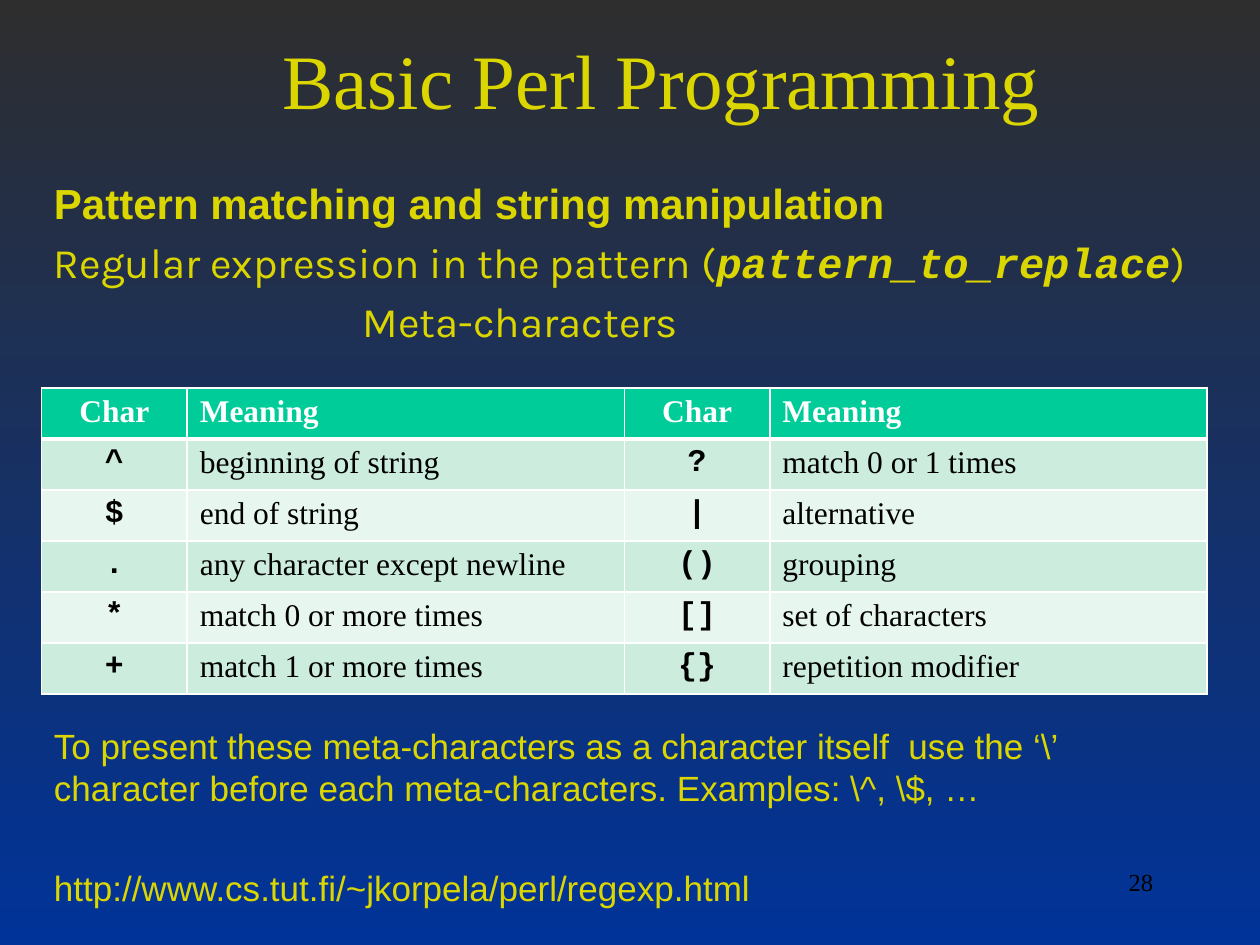
from lxml.etree import SubElement
from pptx import Presentation
from pptx.dml.color import RGBColor
from pptx.enum.text import MSO_ANCHOR as Anchor, PP_ALIGN as Align
from pptx.oxml.ns import qn
from pptx.util import Inches, Pt

YELLOW, WHITE, BLACK = "DBD600", "FFFFFF", "000000"
SERIF, SANS, ROUND, CODE = "Times New Roman", "Arial", "Karla", "Courier New"
LEFT, WIDTH = 0.33, 9.25
COLUMN_SHARES = (1, 3, 1, 3)
META_CHARACTERS = (
    ("Char", "Meaning", "Char", "Meaning"),
    ("^", "beginning of string", "?", "match 0 or 1 times"),
    ("$", "end of string", "|", "alternative"),
    (".", "any character except newline", "()", "grouping"),
    ("*", "match 0 or more times", "[]", "set of characters"),
    ("+", "match 1 or more times", "{}", "repetition modifier"),
)


def colour(code):
    """Turn a hex string into a colour."""
    return RGBColor.from_string(code)


def add_run(paragraph, text, size, face, code=YELLOW, bold=False, italic=False):
    """Append one formatted run."""
    run = paragraph.add_run()
    run.text = text
    font = run.font
    font.size, font.name, font.bold, font.italic = Pt(size), face, bold, italic
    font.color.rgb = colour(code)


def add_text(slide, box, top_inset=0.05):
    """Add a wrapping text box and return its text frame."""
    frame = slide.shapes.add_textbox(*map(Inches, box)).text_frame
    frame.word_wrap = True
    frame.margin_top = Inches(top_inset)
    return frame


def next_paragraph(frame, gap):
    """Add a paragraph set off from the one above by a gap in points."""
    paragraph = frame.add_paragraph()
    paragraph.space_before = Pt(gap)
    return paragraph


def paint_background(slide):
    """Fade the background from charcoal down to blue."""
    fill = slide.background.fill
    fill.gradient()
    fill.gradient_angle = 270
    for stop, code in zip(fill.gradient_stops, ("2E2E2E", "003399")):
        stop.color.rgb = colour(code)


def place_title(slide, box):
    """Place and format the title."""
    title = slide.shapes.title
    title.left, title.top, title.width, title.height = map(Inches, box)
    frame = title.text_frame
    frame.vertical_anchor = Anchor.MIDDLE
    heading = frame.paragraphs[0]
    heading.alignment = Align.CENTER
    add_run(heading, "Basic Perl Programming", 44, SERIF)


def place_intro(slide, box):
    """Write the topic lines above the table."""
    frame = add_text(slide, box, 0.08)
    add_run(frame.paragraphs[0], "Pattern matching and string manipulation", 24, SANS, bold=True)
    pattern = next_paragraph(frame, 5)
    add_run(pattern, "Regular expression in the pattern (", 24, ROUND)
    add_run(pattern, "pattern_to_replace", 24, CODE, bold=True, italic=True)
    add_run(pattern, ")", 24, ROUND)
    caption = next_paragraph(frame, 5)
    caption._p.get_or_add_pPr().set("marL", str(Inches(2.45)))
    add_run(caption, "Meta-characters", 24, ROUND)


def add_border(cell, side, width):
    """Draw one white edge of a cell."""
    edge = SubElement(cell._tc.get_or_add_tcPr(), qn(f"a:ln{side}"), w=str(Pt(width)))
    SubElement(SubElement(edge, qn("a:solidFill")), qn("a:srgbClr"), val=WHITE)


def fill_cell(cell, text, row, column):
    """Write and format one cell according to its row and column."""
    header, symbol = row == 0, column % 2 == 0
    thick_sides = {0: "B", 1: "T"}
    for side in "LRTB":
        add_border(cell, side, 3 if thick_sides.get(row) == side else 1)
    cell.fill.solid()
    cell.fill.fore_color.rgb = colour("00CC99" if header else ("E7F6EF", "CCECDE")[row % 2])
    paragraph = cell.text_frame.paragraphs[0]
    paragraph.alignment = Align.CENTER if symbol else Align.LEFT
    face = CODE if symbol and not header else SERIF
    add_run(paragraph, text, 18, face, WHITE if header else BLACK, bold=header or symbol)


def place_table(slide, box):
    """Build the table of meta-characters."""
    left, top, width, height = map(Inches, box)
    table = slide.shapes.add_table(
        len(META_CHARACTERS), len(COLUMN_SHARES), left, top, width, height).table
    for column, share in zip(table.columns, COLUMN_SHARES):
        column.width = width * share // sum(COLUMN_SHARES)
    for row, entries in enumerate(META_CHARACTERS):
        for column, text in enumerate(entries):
            fill_cell(table.cell(row, column), text, row, column)


def place_escape_note(slide, box):
    """Write the escaping rule and its reference."""
    frame = add_text(slide, box, 0.08)
    add_run(frame.paragraphs[0],
            "To present these meta-characters as a character itself  use the ‘\\’ "
            "character before each meta-characters. Examples: \\^, \\$, …", 20, SANS)
    add_run(next_paragraph(frame, 33), "http://www.cs.tut.fi/~jkorpela/perl/regexp.html", 20, SANS)


def place_page_number(slide, box):
    """Write the page number at the lower right."""
    number = add_text(slide, box).paragraphs[0]
    number.alignment = Align.RIGHT
    add_run(number, "28", 14, SERIF, BLACK)


def main():
    """Build and save the slide."""
    deck = Presentation()
    deck.slide_width, deck.slide_height = Inches(10), Inches(7.5)
    slide = deck.slides.add_slide(deck.slide_layouts.get_by_name("Title Only"))
    paint_background(slide)
    place_title(slide, (1, 0, 8.5, 1.25))
    place_intro(slide, (LEFT, 1.33, WIDTH, 1.5))
    place_table(slide, (LEFT, 3.08, WIDTH, 2.43))
    place_escape_note(slide, (LEFT, 5.67, WIDTH, 1.67))
    place_page_number(slide, (7.17, 6.83, 2.08, 0.5))
    deck.save("out.pptx")


if __name__ == "__main__":
    main()
